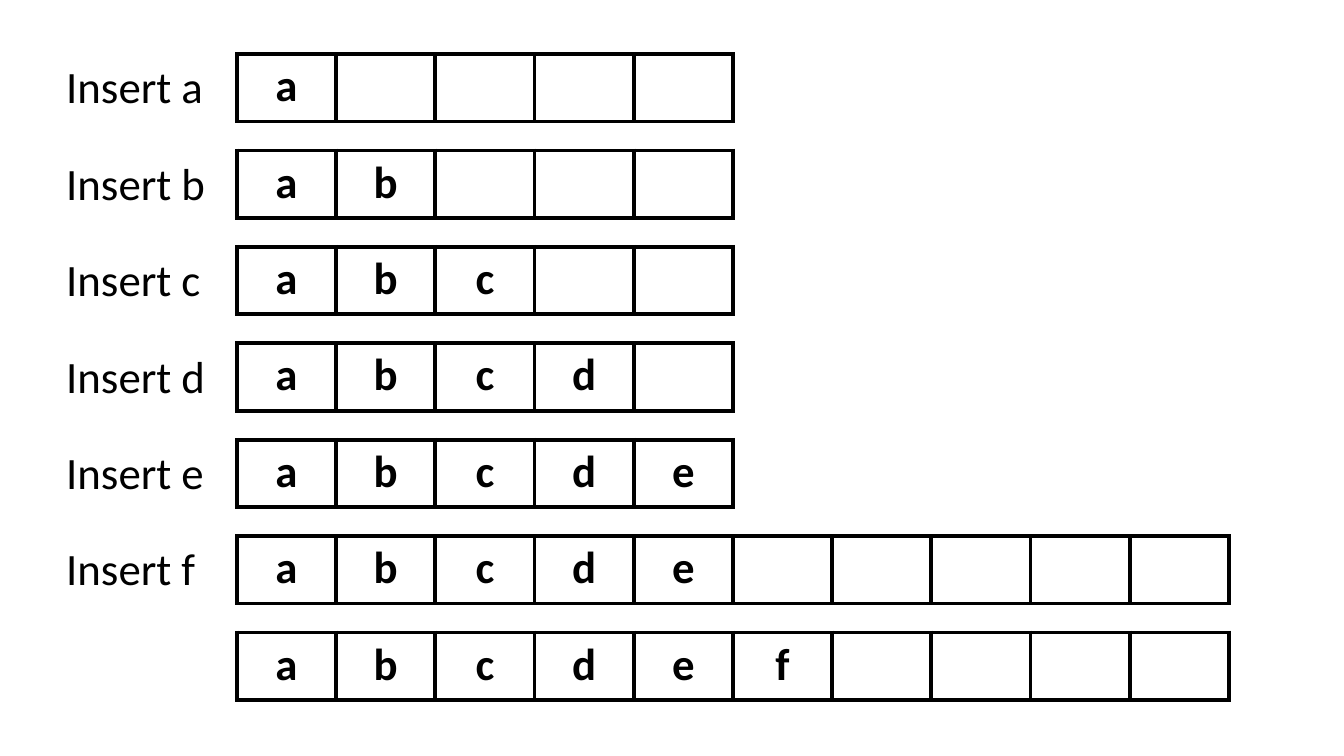
from lxml import etree
from pptx import Presentation
from pptx import util as u
from pptx.dml.color import RGBColor
from pptx.enum import text
from pptx.oxml import ns

# Label, stored letters, capacity
STEPS = [
    ("Insert a", "a", 5),
    ("Insert b", "ab", 5),
    ("Insert c", "abc", 5),
    ("Insert d", "abcd", 5),
    ("Insert e", "abcde", 5),
    ("Insert f", "abcde", 10),
    ("", "abcdef", 10),
]
FONT, SIZE = "Calibri", 32
BLACK, WHITE = "000000", "FFFFFF"
BORDER = 3

TOP, STEP_PITCH = 1.36, 2.43
LABEL_LEFT, LABEL_WIDTH, LABEL_HEIGHT = 1.42, 4.29, 1.62
ARRAY_LEFT, CELL_WIDTH, CELL_HEIGHT = 5.97, 2.5, 1.7


def paint(color_format, color):
    color_format.rgb = RGBColor.from_string(color)


def write(paragraph, words, bold=False):
    run = paragraph.add_run()
    run.text = words
    run.font.name, run.font.size, run.font.bold = FONT, u.Pt(SIZE), bold
    paint(run.font.color, BLACK)


def add_borders(cell):
    properties = cell._tc.get_or_add_tcPr()
    for side in ("lnL", "lnR", "lnT", "lnB"):
        line = etree.SubElement(properties, ns.qn(f"a:{side}"), w=str(u.Pt(BORDER)))
        fill = etree.SubElement(line, ns.qn("a:solidFill"))
        etree.SubElement(fill, ns.qn("a:srgbClr"), val=BLACK)


def add_label(slide, label, top):
    box = slide.shapes.add_textbox(
        u.Cm(LABEL_LEFT), u.Cm(top), u.Cm(LABEL_WIDTH), u.Cm(LABEL_HEIGHT))
    box.text_frame.word_wrap = True
    box.text_frame.auto_size = text.MSO_AUTO_SIZE.SHAPE_TO_FIT_TEXT
    write(box.text_frame.paragraphs[0], label)


def add_array(slide, letters, capacity, top):
    array = slide.shapes.add_table(
        1, capacity, u.Cm(ARRAY_LEFT), u.Cm(top),
        u.Cm(CELL_WIDTH * capacity), u.Cm(CELL_HEIGHT)).table
    array.first_row = array.horz_banding = False
    for cell, letter in zip(array.iter_cells(), letters.ljust(capacity)):
        add_borders(cell)
        cell.fill.solid()
        paint(cell.fill.fore_color, WHITE)
        if letter.strip():
            paragraph = cell.text_frame.paragraphs[0]
            paragraph.alignment = text.PP_ALIGN.CENTER
            write(paragraph, letter, bold=True)


def main():
    deck = Presentation()
    deck.slide_width, deck.slide_height = u.Cm(33.87), u.Cm(19.05)
    slide = deck.slides.add_slide(deck.slide_layouts[6])
    for index, (label, letters, capacity) in enumerate(STEPS):
        top = TOP + index * STEP_PITCH
        add_array(slide, letters, capacity, top)
        if label:
            add_label(slide, label, top)
    deck.save("out.pptx")


if __name__ == "__main__":
    main()
